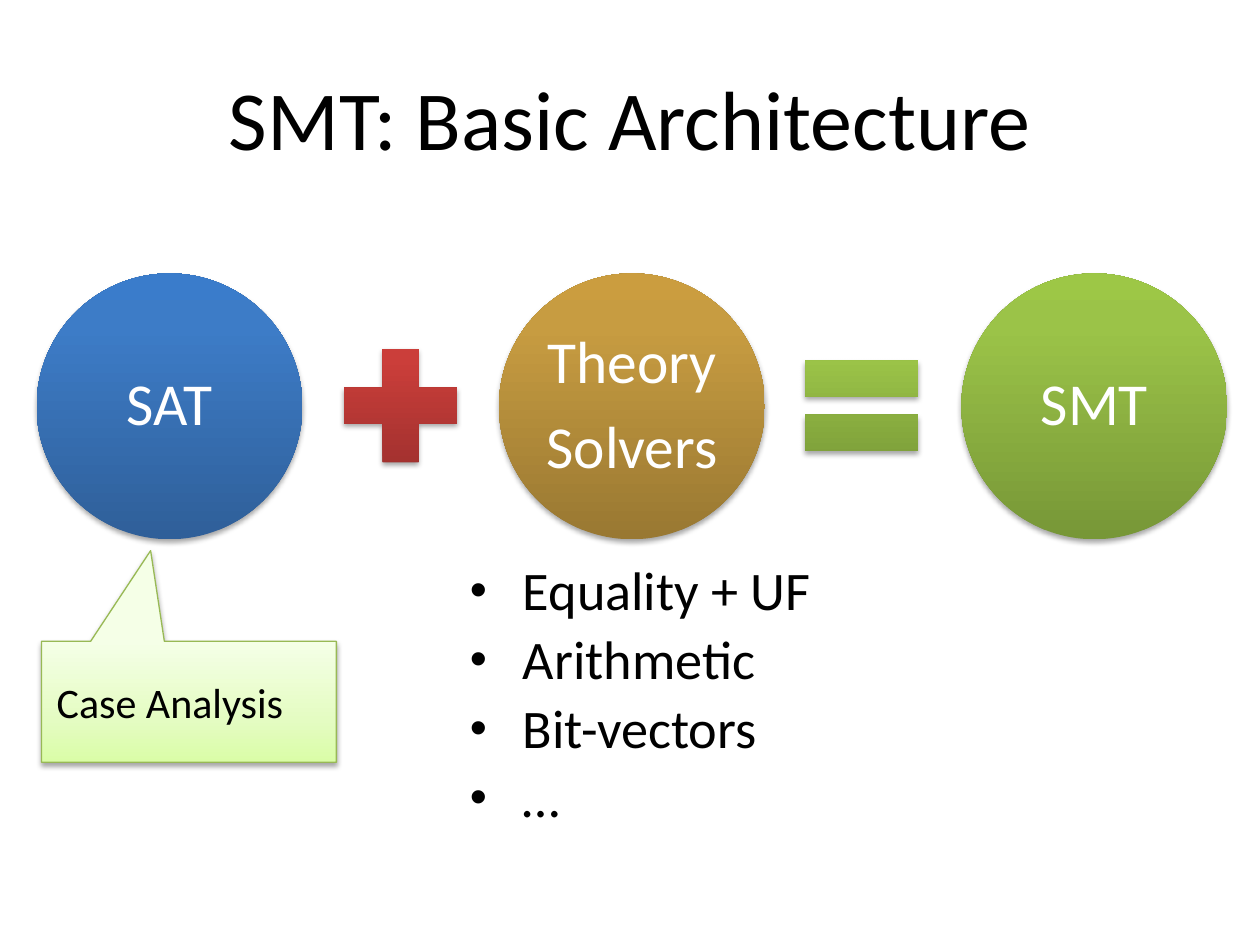
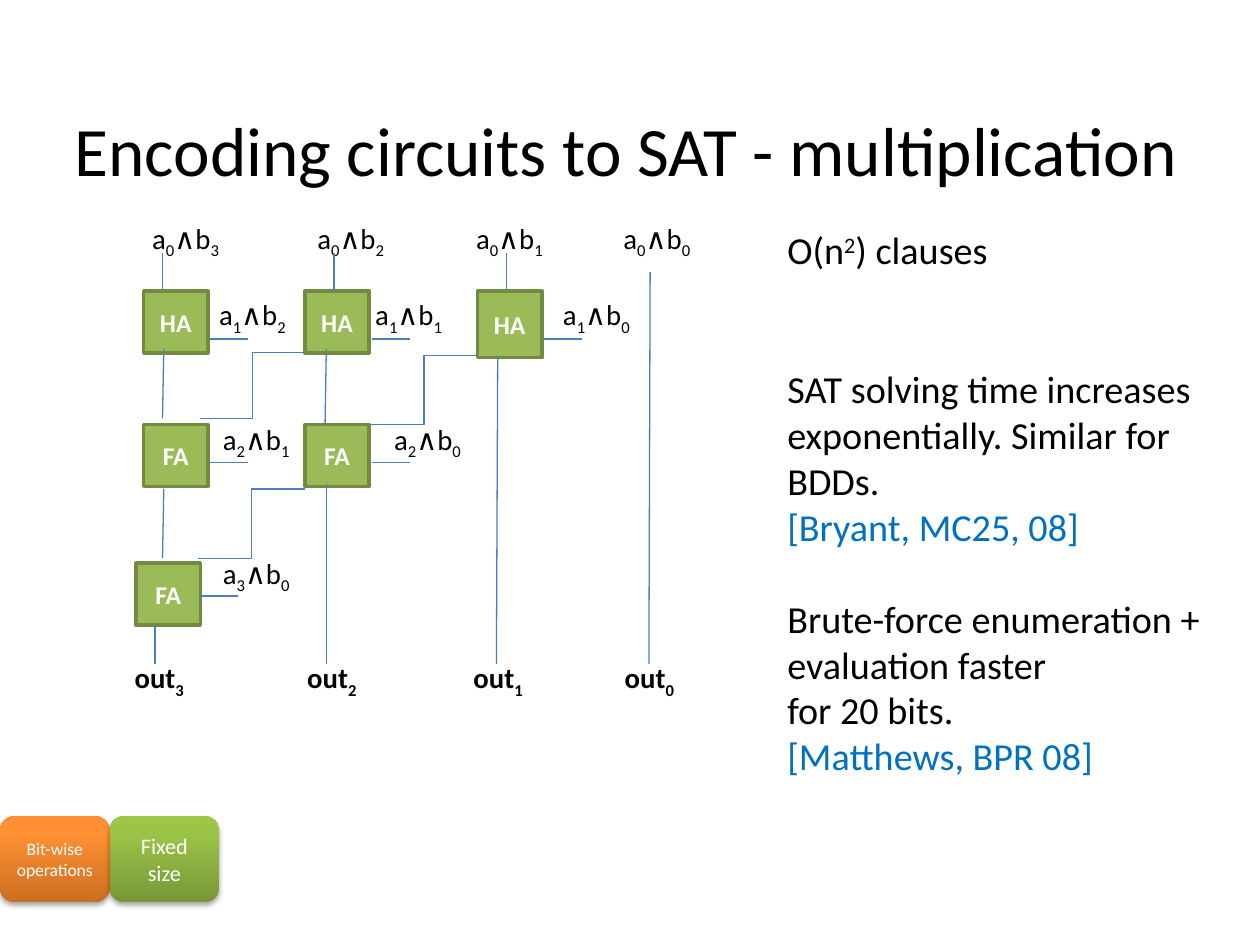
from lxml import etree
from pptx import Presentation
from pptx.dml.color import RGBColor
from pptx.enum.shapes import MSO_CONNECTOR, MSO_SHAPE
from pptx.enum.text import MSO_ANCHOR, MSO_AUTO_SIZE, PP_ALIGN
from pptx.oxml.ns import qn
from pptx.util import Pt

OVAL, PLUS, EQUAL = MSO_SHAPE.OVAL, MSO_SHAPE.MATH_PLUS, MSO_SHAPE.MATH_EQUAL
BOX, ROUND_BOX = MSO_SHAPE.RECTANGLE, MSO_SHAPE.ROUNDED_RECTANGLE
CALLOUT = MSO_SHAPE.RECTANGULAR_CALLOUT
STRAIGHT, ELBOW = MSO_CONNECTOR.STRAIGHT, MSO_CONNECTOR.ELBOW
LEFT, CENTER = PP_ALIGN.LEFT, PP_ALIGN.CENTER
TOP, MIDDLE = MSO_ANCHOR.TOP, MSO_ANCHOR.MIDDLE
FIT_SHAPE, NO_FIT = MSO_AUTO_SIZE.SHAPE_TO_FIT_TEXT, MSO_AUTO_SIZE.NONE

FONT = "Calibri"
EMU_PER_PX = 9144  # 100 px to the inch
TITLE_ONLY = 5
SUBSCRIPT, SUPERSCRIPT = -25, 30

BLACK = RGBColor(0x00, 0x00, 0x00)
WHITE = RGBColor(0xFF, 0xFF, 0xFF)
CITATION = RGBColor(0x00, 0x70, 0xC0)
WIRE = RGBColor(0x4B, 0x7E, 0xBC)
CELL_FILL = RGBColor(0x9B, 0xBB, 0x59)
CELL_EDGE = RGBColor(0x73, 0x8A, 0x42)
CALLOUT_EDGE = RGBColor(0x98, 0xB9, 0x55)


def gradient(middle, *colors):
    """Stops from bottom to top, the second one at the middle percentage."""
    return list(zip((0, middle, 100), map(RGBColor.from_string, colors)))


BLUE = gradient(80, "2F5F99", "3D7CC7", "3A7CCB")
RED = gradient(80, "9C2F2D", "CB3E3A", "CE3B37")
GOLD = gradient(80, "997832", "C79C41", "CB9D3F")
GREEN = gradient(80, "779737", "9BC348", "9DC746")
ORANGE = gradient(80, "CC6E20", "FF9034", "FF9136")
PALE_GREEN = gradient(35, "DAFDA7", "E4FCC2", "F5FFE7")


def px(*lengths):
    return [length * EMU_PER_PX for length in lengths]


def write(frame, text, size=18, color=BLACK, bold=False, align=LEFT,
          line_spacing=None, before=0, after=0, bullet_indent=0):
    """Add a paragraph; text is a string or a list of (string, baseline) runs."""
    paragraph = frame.paragraphs[0]
    if paragraph.runs:
        paragraph = frame.add_paragraph()
    paragraph.alignment = align
    paragraph.line_spacing = line_spacing
    paragraph.space_before, paragraph.space_after = Pt(before), Pt(after)
    for part, baseline in [(text, 0)] if isinstance(text, str) else text:
        run = paragraph.add_run()
        run.text = part
        run.font.name, run.font.size = FONT, Pt(size)
        run.font.bold, run.font.color.rgb = bold, color
        if baseline:
            run.font._element.set("baseline", str(baseline * 1000))
    if bullet_indent:
        properties = paragraph._p.get_or_add_pPr()
        indent, = px(bullet_indent)
        properties.set("marL", str(indent))
        properties.set("indent", str(-indent))
        etree.SubElement(properties, qn("a:buSzPct"), val="90000")
        etree.SubElement(properties, qn("a:buFont"), typeface="Arial")
        etree.SubElement(properties, qn("a:buChar"), char="•")


def set_gradient(shape, stops):
    shape.fill.gradient()
    shape.fill.gradient_angle = 90
    stop_list = shape._element.spPr.find(f".//{qn('a:gsLst')}")
    for stop in list(stop_list):
        stop_list.remove(stop)
    for position, color in stops:
        stop = etree.SubElement(stop_list, qn("a:gs"), pos=str(position * 1000))
        etree.SubElement(stop, qn("a:srgbClr"), val=str(color))


def set_shadow(shape, opacity=35):
    effects = shape._element.spPr.find(qn("a:effectLst"))
    shadow = etree.SubElement(
        effects, qn("a:outerShdw"), blurRad=str(Pt(3.1)), dist=str(Pt(1.8)),
        dir="5400000", rotWithShape="0")
    color = etree.SubElement(shadow, qn("a:srgbClr"), val=str(BLACK))
    etree.SubElement(color, qn("a:alpha"), val=str(opacity * 1000))


class Deck:
    def __init__(self):
        self.presentation = Presentation()
        self.presentation.slide_width, self.presentation.slide_height = px(1000, 750)
        self.slide = None

    def new_slide(self, title, at, size):
        layout = self.presentation.slide_layouts[TITLE_ONLY]
        self.slide = self.presentation.slides.add_slide(layout)
        shape = self.slide.shapes.title
        shape.left, shape.top, shape.width, shape.height = px(*at)
        frame = shape.text_frame
        frame.auto_size, frame.vertical_anchor = NO_FIT, MIDDLE
        write(frame, title, size=size, align=CENTER)

    def text_box(self, at, wrap=True, anchor=TOP, inset=None):
        frame = self.slide.shapes.add_textbox(*px(*at)).text_frame
        frame.word_wrap, frame.vertical_anchor = wrap, anchor
        frame.auto_size = NO_FIT if wrap else FIT_SHAPE
        if inset is not None:
            margin, = px(inset)
            frame.margin_left = frame.margin_right = margin
            frame.margin_top = frame.margin_bottom = margin
        return frame

    def shape(self, kind, at, fill, edge=None, edge_width=0.75):
        """A list of stops as fill gives a glossy shape with a shadow."""
        shape = self.slide.shapes.add_shape(kind, *px(*at))
        shape.shadow.inherit = False
        if isinstance(fill, list):
            set_gradient(shape, fill)
            set_shadow(shape)
        else:
            shape.fill.solid()
            shape.fill.fore_color.rgb = fill
        if edge is None:
            shape.line.fill.background()
        else:
            shape.line.color.rgb, shape.line.width = edge, Pt(edge_width)
        shape.text_frame.vertical_anchor = MIDDLE
        shape.text_frame.word_wrap = True
        return shape

    def disc(self, left, words, fill):
        top, diameter, margin = 217, 211, 31
        self.shape(OVAL, (left, top, diameter, diameter), fill)
        side = diameter - 2 * margin
        frame = self.text_box((left + margin, top + margin, side, side),
                              anchor=MIDDLE, inset=5)
        for word in words:
            write(frame, word, size=34, color=WHITE, align=CENTER,
                  line_spacing=0.9, after=12)

    def cell(self, name, left, top, height=49):
        shape = self.shape(BOX, (left, top, 51, height), CELL_FILL, CELL_EDGE, 2)
        write(shape.text_frame, name, size=14.6, color=WHITE, bold=True, align=CENTER)

    def wire(self, *ends, kind=STRAIGHT):
        connector = self.slide.shapes.add_connector(kind, *px(*ends))
        connector.line.color.rgb, connector.line.width = WIRE, Pt(0.75)
        etree.SubElement(connector._element.spPr, qn("a:effectLst"))

    def label(self, left, top, runs, bold=False):
        frame = self.text_box((left, top, 66 if bold else 73, 38), wrap=False)
        write(frame, runs, size=16.4, bold=bold)

    def product(self, left, top, a, b):
        self.label(left, top, [("a", 0), (str(a), SUBSCRIPT),
                               ("∧b", 0), (str(b), SUBSCRIPT)])

    def badge(self, text, left, fill, size):
        shape = self.shape(ROUND_BOX, (left, 648, 87, 68), fill)
        write(shape.text_frame, text, size=size, color=WHITE, align=CENTER)


def add_architecture(deck):
    deck.new_slide("SMT: Basic Architecture", (50, 30, 900, 125), 48)
    discs = [(["SAT"], BLUE), (["Theory", "Solvers"], GOLD), (["SMT"], GREEN)]
    for column, (words, fill) in enumerate(discs):
        deck.disc(29 + 367 * column, words, fill)
    for column, (operator, fill) in enumerate([(PLUS, RED), (EQUAL, GREEN)]):
        deck.shape(operator, (257 + 366 * column, 261, 122, 122), fill)

    theories = deck.text_box((373, 447, 327, 219), inset=0)
    for theory in ("Equality + UF", "Arithmetic", "Bit-vectors", "…"):
        write(theories, theory, size=31, line_spacing=0.9, before=6, bullet_indent=42)

    callout = deck.shape(CALLOUT, (33, 509, 234, 96), PALE_GREEN, CALLOUT_EDGE)
    callout.adjustments[0], callout.adjustments[1] = -0.13, -1.25
    frame = callout.text_frame
    frame.margin_left, frame.margin_right = px(12, 12)
    write(frame, "Case Analysis", size=24)


def add_multiplication(deck):
    deck.new_slide("Encoding circuits to SAT - multiplication", (47, 61, 900, 114), 39.6)
    deck.badge("Bit-wise operations", 0, ORANGE, 10)
    deck.badge("Fixed size", 87, GREEN, 12.7)

    for name, *place in [("HA", 114, 231), ("HA", 242, 231), ("HA", 379, 231, 53),
                         ("FA", 114, 337), ("FA", 242, 337), ("FA", 108, 447)]:
        deck.cell(name, *place)

    for b, left in enumerate((485, 368, 242, 111)):
        deck.product(left, 170, 0, b)
    for b, left in enumerate((437, 288, 164)):
        deck.product(left, 231, 1, b)
    for b, left in enumerate((303, 167)):
        deck.product(left, 330, 2, b)
    deck.product(167, 436, 3, 0)
    for bit, left in enumerate((486, 366, 234, 97)):
        deck.label(left, 519, [("out", 0), (str(bit), SUBSCRIPT)], bold=True)

    for x in (129, 265, 402):
        deck.wire(x, 201, x, 231)
    for x, y in [(167, 269), (295, 269), (432, 269), (167, 367), (295, 367), (159, 473)]:
        deck.wire(x + 30, y, x, y)
    for x, top, bottom in [(130, 277, 332), (130, 388, 443), (259, 277, 337),
                           (395, 284, 527), (516, 216, 527)]:
        deck.wire(x, top, x - 1, bottom)
    for x, top in [(259, 383), (123, 496)]:
        deck.wire(x, top, x, 527)
    for carry in [(379, 282, 294, 337), (242, 280, 159, 332), (242, 388, 157, 443)]:
        deck.wire(*carry, kind=ELBOW)

    size, line_height = 21.8, 26.6
    notes = deck.text_box((615, 175, 356, 451))
    for text, color, skipped_lines in [
        ([("O(n", 0), ("2", SUPERSCRIPT), (") clauses", 0)], BLACK, 0),
        ("SAT solving time increases exponentially. Similar for BDDs.", BLACK, 2),
        ("[Bryant, MC25, 08]", CITATION, 0),
        ("Brute-force enumeration + evaluation faster", BLACK, 1),
        ("for 20 bits.", BLACK, 0),
        ("[Matthews, BPR 08]", CITATION, 0),
    ]:
        write(notes, text, size=size, color=color, before=skipped_lines * line_height)


def main():
    deck = Deck()
    add_architecture(deck)
    add_multiplication(deck)
    deck.presentation.save("out.pptx")


if __name__ == "__main__":
    main()
